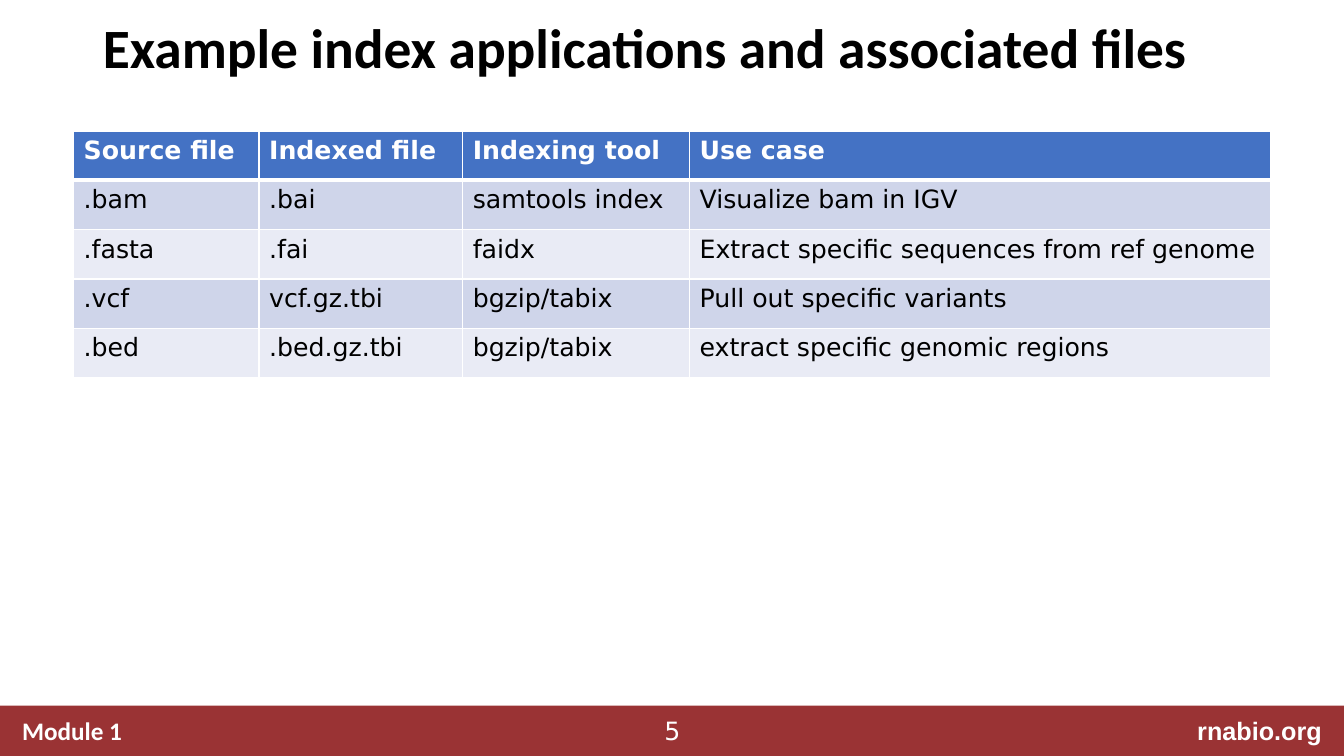
from lxml.etree import SubElement
from pptx import Presentation
from pptx.dml.color import RGBColor
from pptx.enum.shapes import MSO_SHAPE
from pptx.enum.text import MSO_ANCHOR, MSO_AUTO_SIZE, PP_ALIGN
from pptx.oxml.ns import qn
from pptx.util import Inches, Pt


def colour(code):
    return RGBColor.from_string(code)


def write(frame, text, size=18, font="DejaVu Sans", ink="000000", bold=False,
          align=PP_ALIGN.LEFT, anchor=MSO_ANCHOR.TOP, spacing=None):
    frame.vertical_anchor = anchor
    para = frame.paragraphs[0]
    para.alignment = align
    para.line_spacing = spacing
    span = para.add_run()
    span.text = text
    span.font.size = Pt(size)
    span.font.name = font
    span.font.bold = bold
    span.font.color.rgb = colour(ink)


class Slide:
    white, bar_red, header_blue = "FFFFFF", "9A3334", "4472C4"
    bands = ("CFD5EA", "E9EBF5")
    columns = rows = 100

    def __init__(self, deck):
        self.deck = deck
        self.page = deck.slides.add_slide(deck.slide_layouts[5])

    def across(self, count):
        return round(self.deck.slide_width * count / self.columns)

    def down(self, count):
        return round(self.deck.slide_height * count / self.rows)

    def place(self, left, top, width, height):
        return self.across(left), self.down(top), self.across(width), self.down(height)

    def title(self, text, *area):
        box = self.page.shapes.title
        box.left, box.top, box.width, box.height = self.place(*area)
        box.text_frame.auto_size = MSO_AUTO_SIZE.NONE
        write(box.text_frame, text, size=39.6, font="Calibri", bold=True,
              anchor=MSO_ANCHOR.MIDDLE, spacing=0.9)

    def bar(self, *area):
        shape = self.page.shapes.add_shape(MSO_SHAPE.RECTANGLE, *self.place(*area))
        shape.shadow.inherit = False
        shape.fill.solid()
        shape.fill.fore_color.rgb = colour(self.bar_red)
        shape.line.fill.background()

    def label(self, text, *area, wrap=True, **style):
        box = self.page.shapes.add_textbox(*self.place(*area))
        box.text_frame.word_wrap = wrap
        box.text_frame.auto_size = MSO_AUTO_SIZE.SHAPE_TO_FIT_TEXT
        write(box.text_frame, text, ink=self.white, **style)

    def border(self, cell, side, width):
        line = SubElement(cell._tc.get_or_add_tcPr(), qn(f"a:ln{side}"), w=str(Pt(width)))
        fill = SubElement(line, qn("a:solidFill"))
        SubElement(fill, qn("a:srgbClr"), val=self.white)

    def table(self, records, left, top, widths, row_height):
        area = self.place(left, top, sum(widths), row_height * len(records))
        table = self.page.shapes.add_table(len(records), len(widths), *area).table
        for column, width in zip(table.columns, widths):
            column.width = self.across(width)
        for number, record in enumerate(records):
            table.rows[number].height = self.down(row_height)
            header = number == 0
            shade = self.header_blue if header else self.bands[(number - 1) % 2]
            for index, text in enumerate(record):
                cell = table.cell(number, index)
                for side in "LRTB":
                    thick = (number, side) in ((0, "B"), (1, "T"))
                    self.border(cell, side, 3 if thick else 1)
                cell.fill.solid()
                cell.fill.fore_color.rgb = colour(shade)
                write(cell.text_frame, text, bold=header,
                      ink=self.white if header else "000000")


def main():
    deck = Presentation()
    deck.slide_width, deck.slide_height = Inches(13.33), Inches(7.5)
    slide = Slide(deck)
    slide.bar(0, 93.33, 100, 6.67)
    slide.label("Module 1", 0.9, 94, 20.7, 5.33, font="Calibri", bold=True)
    slide.label("rnabio.org", 79.74, 94, 19.35, 5.33, font="Arial", bold=True,
                align=PP_ALIGN.RIGHT)
    slide.label("5", 48.16, 94, 3.75, 5.33, wrap=False, align=PP_ALIGN.CENTER,
                anchor=MSO_ANCHOR.MIDDLE)
    slide.title("Example index applications and associated files", 6.9, 1.33, 86.27, 10.8)
    slide.table([
        ("Source file", "Indexed file", "Indexing tool", "Use case"),
        (".bam", ".bai", "samtools index", "Visualize bam in IGV"),
        (".fasta", ".fai", "faidx", "Extract specific sequences from ref genome"),
        (".vcf", "vcf.gz.tbi", "bgzip/tabix", "Pull out specific variants"),
        (".bed", ".bed.gz.tbi", "bgzip/tabix", "extract specific genomic regions"),
    ], 5.48, 17.33, (13.8, 15.15, 16.88, 43.21), 6.53)
    deck.save("out.pptx")


if __name__ == "__main__":
    main()
